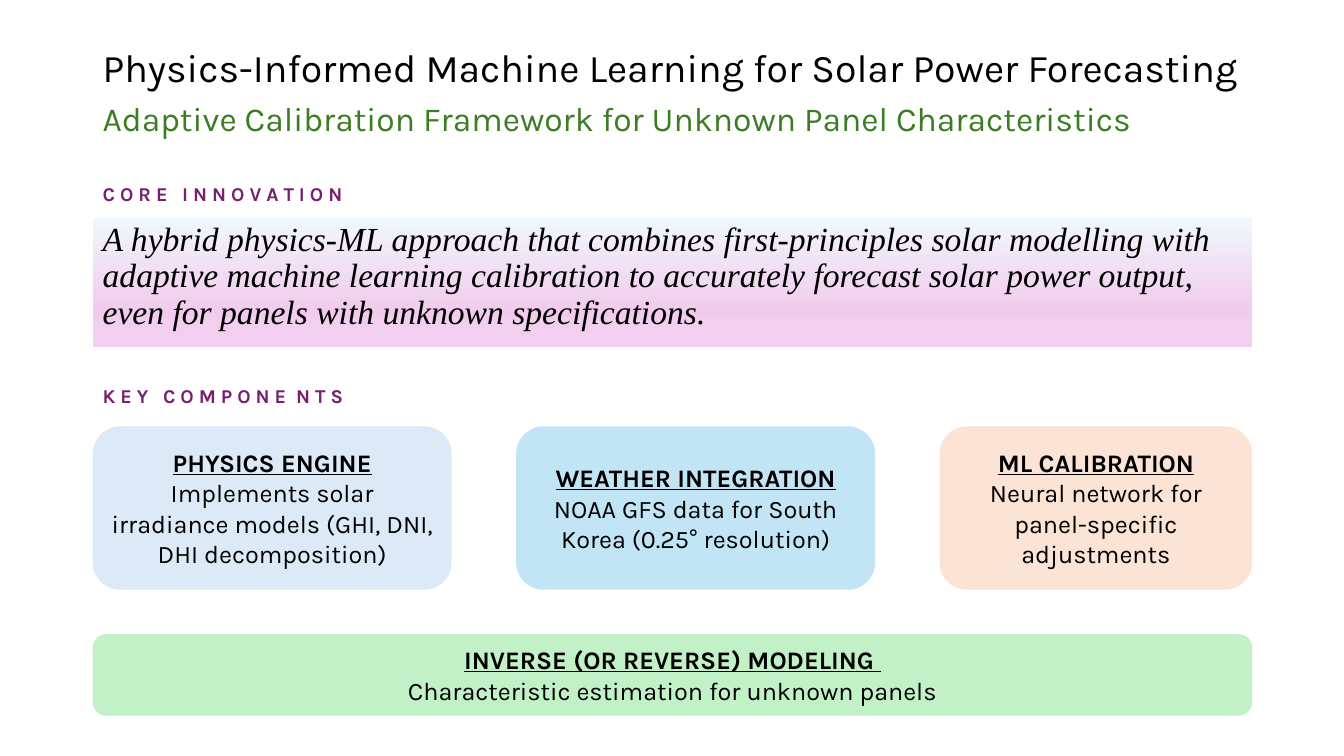
from copy import deepcopy
from pptx import Presentation, util as u
from pptx.dml.color import RGBColor
from pptx.enum import shapes, text
from pptx.oxml.ns import qn

hue = {"ink": "000000", "green": "3B7D23", "plum": "78206E",
       "blue": "DCEAF7", "sky": "C1E5F5", "peach": "FBE3D6", "mint": "C2F1C8"}
fade = [(0, "F0F8FD"), (0.74, "F1CAEC"), (0.83, "F2CFEE"), (1, "F2CFEE")]

deck = Presentation()
deck.slide_width, deck.slide_height = u.Inches(13.33), u.Inches(7.5)
slide = deck.slides.add_slide(deck.slide_layouts[6])

# Grid: one full-width column, split into three steps for the cards
left, wide, line = 0.92, 11.5, 0.58
step, card = 4.2, 3.56


def style(run, size, color, font="Karla", bold=False):
    run.font.size, run.font.name, run.font.bold = u.Pt(size), font, bold
    run.font.color.rgb = RGBColor.from_string(hue[color])


def block(kind, x, y, w, h, words):
    """Add a text box (kind None) or a borderless shape, one paragraph a line."""
    area = [u.Inches(v) for v in (x, y, w, h)]
    if kind is None:
        box = slide.shapes.add_textbox(*area)
    else:
        box = slide.shapes.add_shape(kind, *area)
        box.shadow.inherit = False
        box.line.fill.background()
    frame = box.text_frame
    frame.word_wrap = True
    frame.vertical_anchor = text.MSO_ANCHOR.MIDDLE
    frame.text = words
    for para in frame.paragraphs:
        para.alignment = text.PP_ALIGN.LEFT
        para.line_spacing = 0.9
    return box


# Title and subtitle
heads = [(0.4, 28, "ink", "Physics-Informed Machine Learning for Solar Power Forecasting"),
         (0.91, 24, "green", "Adaptive Calibration Framework for Unknown Panel Characteristics")]
for y, size, color, words in heads:
    box = block(None, left, y, wide, line, words)
    style(box.text_frame.paragraphs[0].runs[0], size, color)

# Section labels: spaced capitals, with the gap after a part widened (points)
labels = [(1.65, [("C O R E", 6.8), ("I N N O V A T I O N", 0)]),
          (3.65, [("K E Y", 6.8), ("C O M P O N E", 3.4), ("N T S", 0)])]
for y, parts in labels:
    para = block(None, left, y, wide, line, parts[0][0]).text_frame.paragraphs[0]
    for (_, gap), (word, _) in zip(parts, parts[1:]):
        space = para.add_run()
        space.text = " "
        space.font._element.set("spc", str(round(gap * 100)))
        para.add_run().text = word
    for run in para.runs:
        style(run, 14, "plum", bold=True)

# Core statement on a vertical fade
core = block(shapes.MSO_SHAPE.RECTANGLE, left, 2.16, wide, 1.28,
             "A hybrid physics-ML approach that combines first-principles solar modelling "
             "with adaptive machine learning calibration to accurately forecast solar power "
             "output, even for panels with unknown specifications.")
core.text_frame.vertical_anchor = text.MSO_ANCHOR.TOP
quote = core.text_frame.paragraphs[0].runs[0]
style(quote, 24, "ink", "Times New Roman")
quote.font.italic = True
core.fill.gradient()
core.fill.gradient_angle = 270
stops = core._element.spPr.find(qn("a:gradFill")).find(qn("a:gsLst"))
for _ in fade[2:]:
    stops.append(deepcopy(stops[0]))
for stop, (pos, color) in zip(core.fill.gradient_stops, fade):
    stop.position = pos
    stop.color.rgb = RGBColor.from_string(color)

# Component cards, the last one ending at the right margin, and the base bar
cards = [
    (0, 4.23, card, 1.62, "blue", "PHYSICS ENGINE",
     "Implements solar irradiance models (GHI, DNI, DHI decomposition)"),
    (1, 4.23, card, 1.62, "sky", "WEATHER INTEGRATION",
     "NOAA GFS data for South Korea (0.25° resolution)"),
    (2, 4.23, wide - 2 * step, 1.62, "peach", "ML CALIBRATION",
     "Neural network for panel-specific adjustments"),
    (0, 6.29, wide, 0.81, "mint", "INVERSE (OR REVERSE) MODELING ",
     "Characteristic estimation for unknown panels"),
]
for col, y, w, h, color, head, body in cards:
    box = block(shapes.MSO_SHAPE.ROUNDED_RECTANGLE, left + col * step, y, w, h,
                f"{head}\n{body}")
    box.fill.solid()
    box.fill.fore_color.rgb = RGBColor.from_string(hue[color])
    for row, para in enumerate(box.text_frame.paragraphs):
        para.alignment = text.PP_ALIGN.CENTER
        para.line_spacing = 1.0
        style(para.runs[0], 18, "ink", bold=row == 0)
        para.runs[0].font.underline = row == 0

deck.save("out.pptx")
